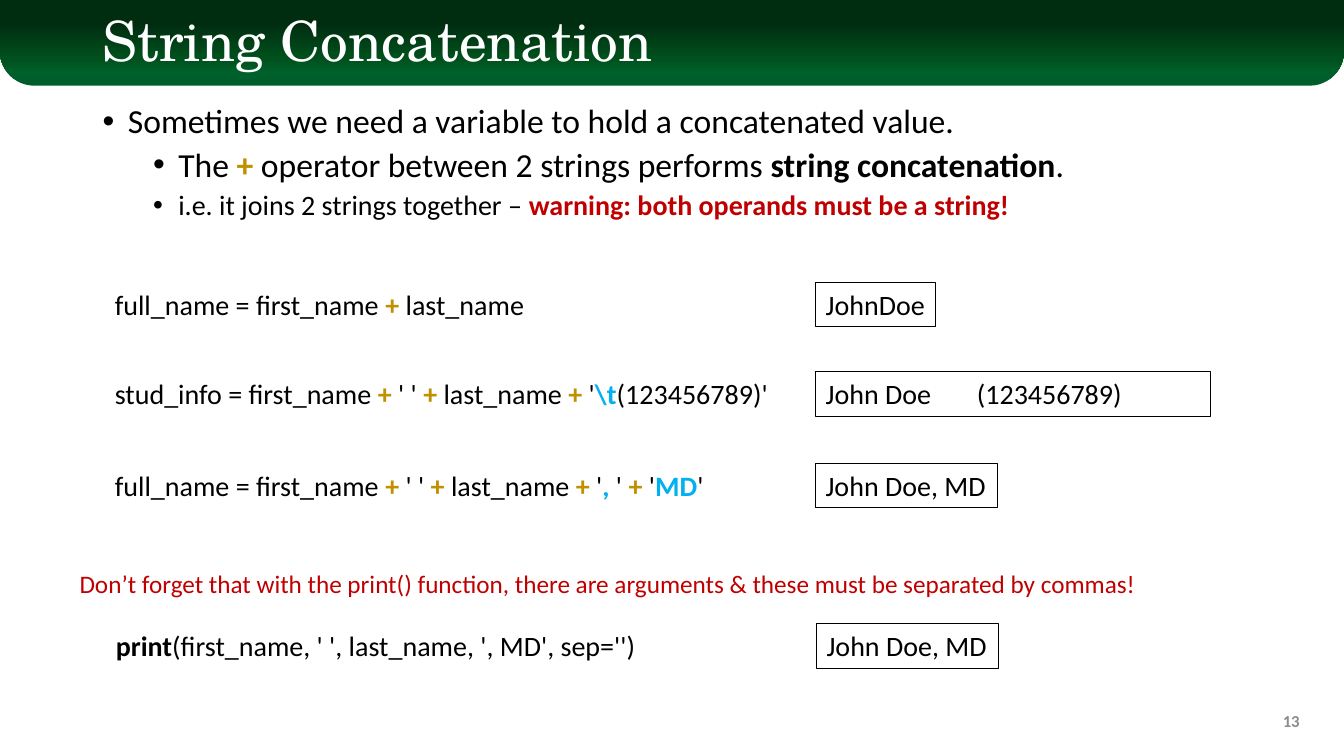
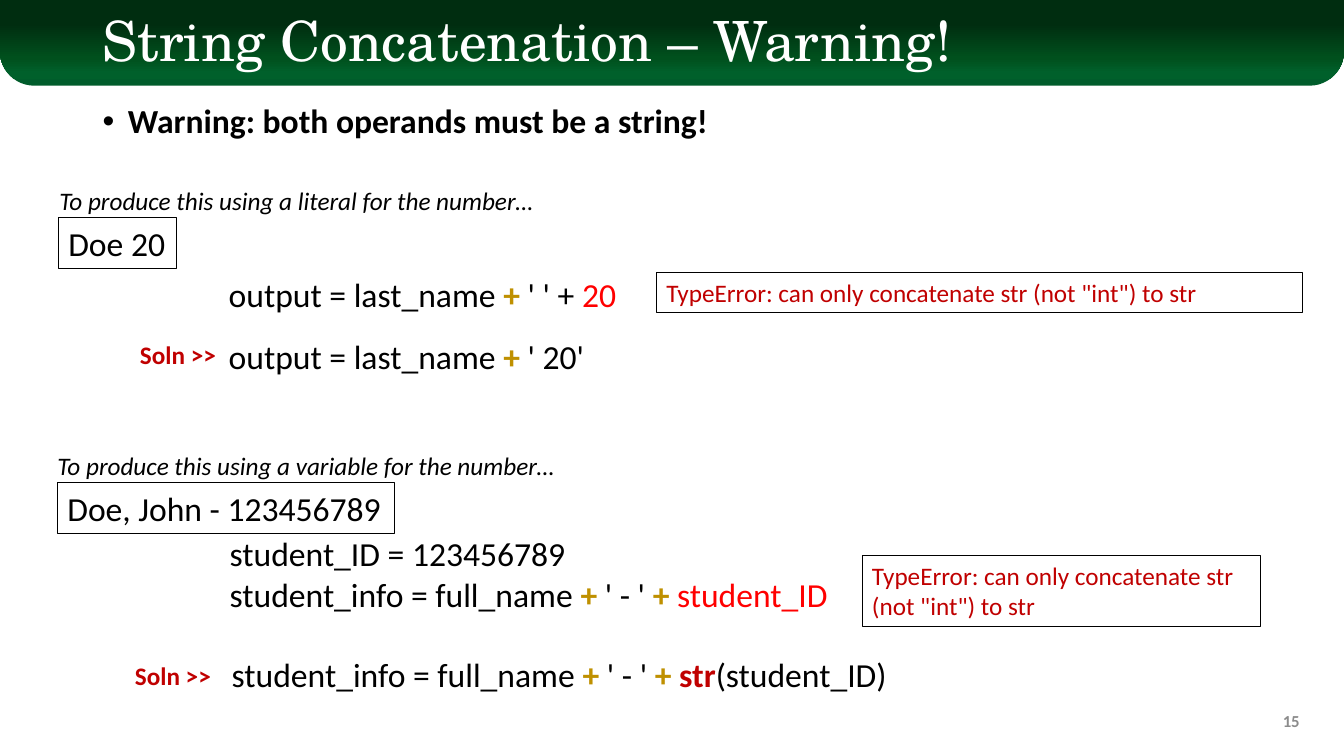
from dataclasses import dataclass
from lxml import etree
from pptx import Presentation
from pptx.dml.color import RGBColor as RGB
from pptx.enum.shapes import MSO_SHAPE as SHAPE
from pptx.enum.text import MSO_ANCHOR as ANCHOR, MSO_AUTO_SIZE as AUTO, PP_ALIGN as ALIGN
from pptx.oxml.ns import qn
from pptx.util import Pt

PX = 9144  # EMU in one px, 100 px to the inch
WIDE, HIGH = 1333, 750

BLACK, WHITE = RGB(0, 0, 0), RGB(255, 255, 255)
GOLD, RED = RGB(0xBF, 0x90, 0x00), RGB(0xC0, 0x00, 0x00)
BRIGHT, SKY = RGB(0xFF, 0x00, 0x00), RGB(0x00, 0xB0, 0xF0)
GREY = RGB(0x8C, 0x8C, 0x8C)
GREENS = [(0, "005C2B"), (15, "00602B"), (32, "00501D"), (72, "002D10")]
SANS, SERIF = "Calibri", "TeX Gyre Schola"


@dataclass
class Style:
    size: float
    color: RGB = BLACK
    bold: bool = False
    italic: bool = False
    font: str = SANS
    boxed: bool = False
    wrap: bool = False


HEAD = Style(39.6, WHITE, font=SERIF, wrap=True)
PAGE = Style(12, GREY, bold=True, wrap=True)
BODY = Style(24, wrap=True)
SMALL = Style(20, wrap=True)
CODE = Style(20, wrap=True)
OUT = Style(20, boxed=True)
TABBED = Style(20, boxed=True, wrap=True)
NOTE = Style(18, RED)
LINE = Style(24)
GOAL = Style(24, boxed=True)
ERROR = Style(18, RED, boxed=True, wrap=True)
SOLN = Style(18, RED, bold=True)
LEAD = Style(18, italic=True)

# A piece of a line is plain text, or (text, colour, bold).
PLUS = ("+", GOLD, True)
TYPE_ERROR = [['TypeError: can only concatenate str (not "int") to str']]

# bullets: (level, style, pieces); parts: (left, top, width, height), style, lines
SLIDES = [
    {"title": "String Concatenation", "page": "13",
     "bullets": [
         (0, BODY, ["Sometimes we need a variable to hold a concatenated value."]),
         (1, BODY, ["The ", PLUS, " operator between 2 strings performs ",
                    ("string concatenation", BLACK, True), "."]),
         (1, SMALL, ["i.e. it joins 2 strings together – ",
                     ("warning: both operands must be a string!", RED, True)]),
     ],
     "parts": [
         ((104, 280, 623, 44), CODE, [["full_name = first_name ", PLUS, " last_name"]]),
         ((809, 280, 119, 44), OUT, [["JohnDoe"]]),
         ((104, 369, 677, 44), CODE,
          [["stud_info = first_name ", PLUS, " ' ' ", PLUS, " last_name ", PLUS,
            " '", ("\\t", SKY, True), "(123456789)'"]]),
         ((809, 369, 392, 44), TABBED, [["John Doe \t(123456789)"]]),
         ((104, 460, 671, 44), CODE,
          [["full_name = first_name ", PLUS, " ' ' ", PLUS, " last_name ", PLUS,
            " '", (",", SKY, True), " ' ", PLUS, " '", ("MD", SKY, True), "'"]]),
         ((809, 460, 180, 44), OUT, [["John Doe, MD"]]),
         ((69, 559, 1075, 40), NOTE,
          [["Don’t forget that with the print() function, there are arguments "
            "& these must be separated by commas!"]]),
         ((105, 619, 671, 44), CODE,
          [[("print", BLACK, True), "(first_name, ' ', last_name, ', MD', sep='')"]]),
         ((810, 619, 180, 44), OUT, [["John Doe, MD"]]),
     ]},
    {"title": "String Concatenation – Warning!", "page": "15",
     "bullets": [
         (0, BODY, [("Warning: both operands must be a string!", BLACK, True)]),
     ],
     "parts": [
         ((49, 179, 496, 40), LEAD, [["To produce this using a literal for the number…"]]),
         ((58, 216, 117, 50), GOAL, [["Doe 20"]]),
         ((217, 267, 408, 50), LINE,
          [["output = last_name ", PLUS, " ' ' + ", ("20", BRIGHT, False)]]),
         ((651, 270, 641, 40), ERROR, TYPE_ERROR),
         ((129, 332, 96, 40), SOLN, [["Soln >>"]]),
         ((217, 328, 376, 50), LINE, [["output = last_name ", PLUS, " ' 20'"]]),
         ((47, 442, 519, 40), LEAD, [["To produce this using a variable for the number…"]]),
         ((57, 479, 334, 50), GOAL, [["Doe, John - 123456789"]]),
         ((218, 524, 619, 91), LINE,
          [["student_ID = 123456789"],
           ["student_info = full_name ", PLUS, " ' - ' ", PLUS, " ",
            ("student_ID", BRIGHT, False)]]),
         ((855, 551, 395, 71), ERROR, TYPE_ERROR),
         ((124, 650, 96, 40), SOLN, [["Soln >>"]]),
         ((220, 644, 675, 50), LINE,
          [["student_info = full_name ", PLUS, " ' - ' ", PLUS, " ",
            ("str", RED, True), "(student_ID)"]]),
     ]},
]


def emu(box):
    return [v * PX for v in box]


def write(para, pieces, style):
    for piece in pieces:
        if isinstance(piece, str):
            piece = (piece, style.color, style.bold)
        run = para.add_run()
        run.text, color, run.font.bold = piece
        run.font.color.rgb = color
        run.font.size, run.font.name = Pt(style.size), style.font
        run.font.italic = style.italic


def add_text(slide, box, style, lines):
    shape = slide.shapes.add_textbox(*emu(box))
    frame = shape.text_frame
    frame.word_wrap = style.wrap
    frame.auto_size = AUTO.SHAPE_TO_FIT_TEXT
    if style.boxed:
        shape.line.color.rgb = BLACK
        shape.line.width = Pt(0.75)
    for i, pieces in enumerate(lines):
        para = frame.add_paragraph() if i else frame.paragraphs[0]
        write(para, pieces, style)
    return frame


def add_bullets(slide, items):
    frame = add_text(slide, (92, 99, 1150, 577), BODY, [[] for _ in items])
    frame.auto_size = AUTO.NONE
    for para, (level, style, pieces) in zip(frame.paragraphs, items):
        para.level, para.line_spacing = level, 0.9
        para.space_before = Pt(5 if level else 10)
        write(para, pieces, style)
        props = para._p.get_or_add_pPr()
        props.set("marL", str((25 + 50 * level) * PX))
        props.set("indent", str(-25 * PX))
        etree.SubElement(props, qn("a:buFont")).set("typeface", "Arial")
        etree.SubElement(props, qn("a:buChar")).set("char", "•")


def add_band(slide):
    band = slide.shapes.add_shape(SHAPE.ROUND_2_SAME_RECTANGLE, *emu((0, 0, WIDE, 85)))
    band.shadow.inherit = False
    band.line.fill.background()
    band.adjustments[0], band.adjustments[1] = 0, 0.4
    band.fill.gradient()
    band.fill.gradient_angle = 90
    stops = band._element.spPr.find(".//" + qn("a:gsLst"))
    for stop in list(stops):
        stops.remove(stop)
    for place, color in GREENS:
        stop = etree.SubElement(stops, qn("a:gs"), pos=str(place * 1000))
        etree.SubElement(stop, qn("a:srgbClr"), val=color)
    slide.shapes._spTree.insert(2, band._element)  # behind the title


def add_frame(slide, title, page):
    """Add what the slides share: band, title and page number."""
    add_band(slide)
    head = slide.shapes.title
    head.left, head.top, head.width, head.height = emu((92, 13, 1150, 61))
    frame = head.text_frame
    frame.auto_size, frame.word_wrap = AUTO.NONE, True
    frame.vertical_anchor = ANCHOR.MIDDLE
    para = frame.paragraphs[0]
    para.alignment, para.line_spacing = ALIGN.LEFT, 0.9
    write(para, [title], HEAD)
    foot = add_text(slide, (999, 695, 300, 40), PAGE, [[page]])
    foot.auto_size, foot.vertical_anchor = AUTO.NONE, ANCHOR.MIDDLE
    foot.paragraphs[0].alignment = ALIGN.RIGHT


def main():
    deck = Presentation()
    deck.slide_width, deck.slide_height = emu((WIDE, HIGH))
    for data in SLIDES:
        slide = deck.slides.add_slide(deck.slide_layouts[5])
        add_frame(slide, data["title"], data["page"])
        add_bullets(slide, data["bullets"])
        for box, style, lines in data["parts"]:
            add_text(slide, box, style, lines)
    deck.save("out.pptx")


if __name__ == "__main__":
    main()
